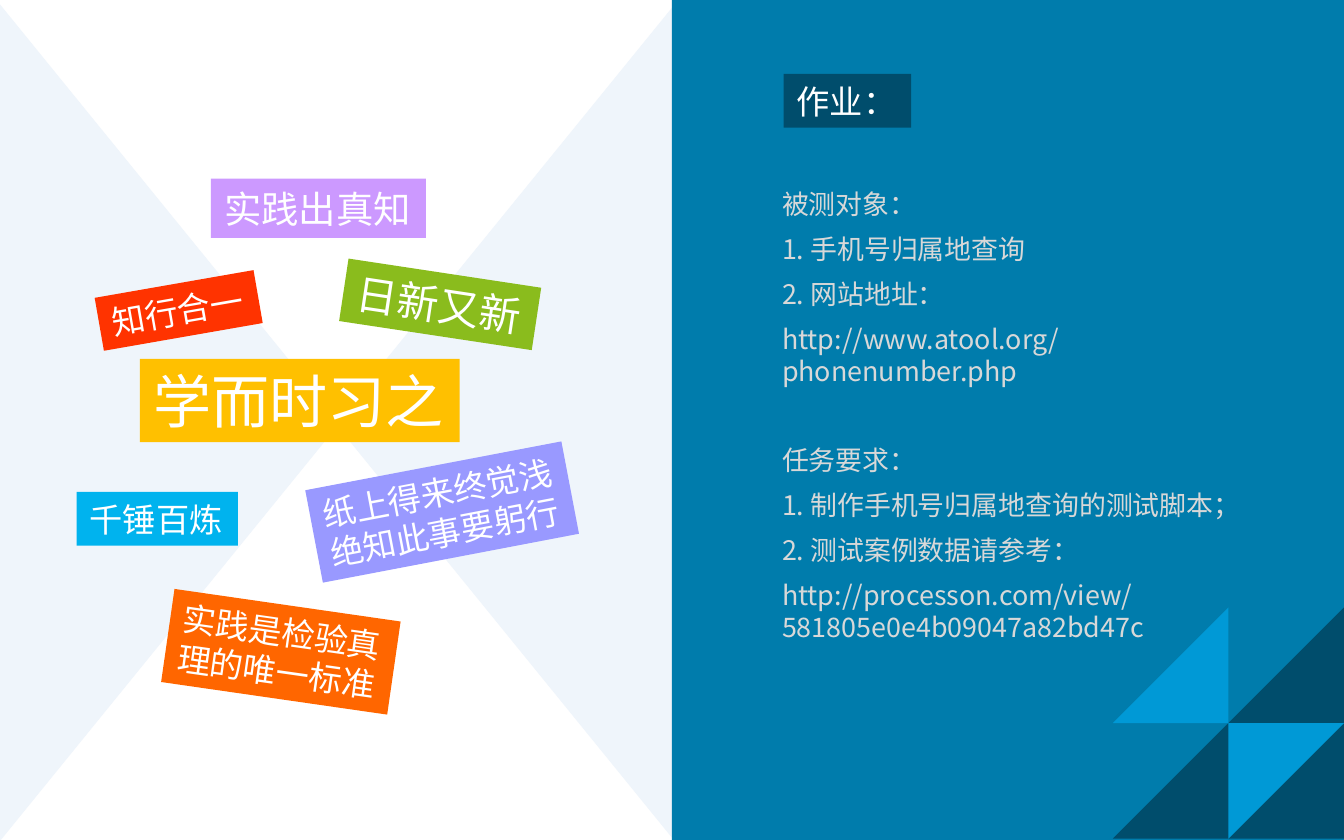
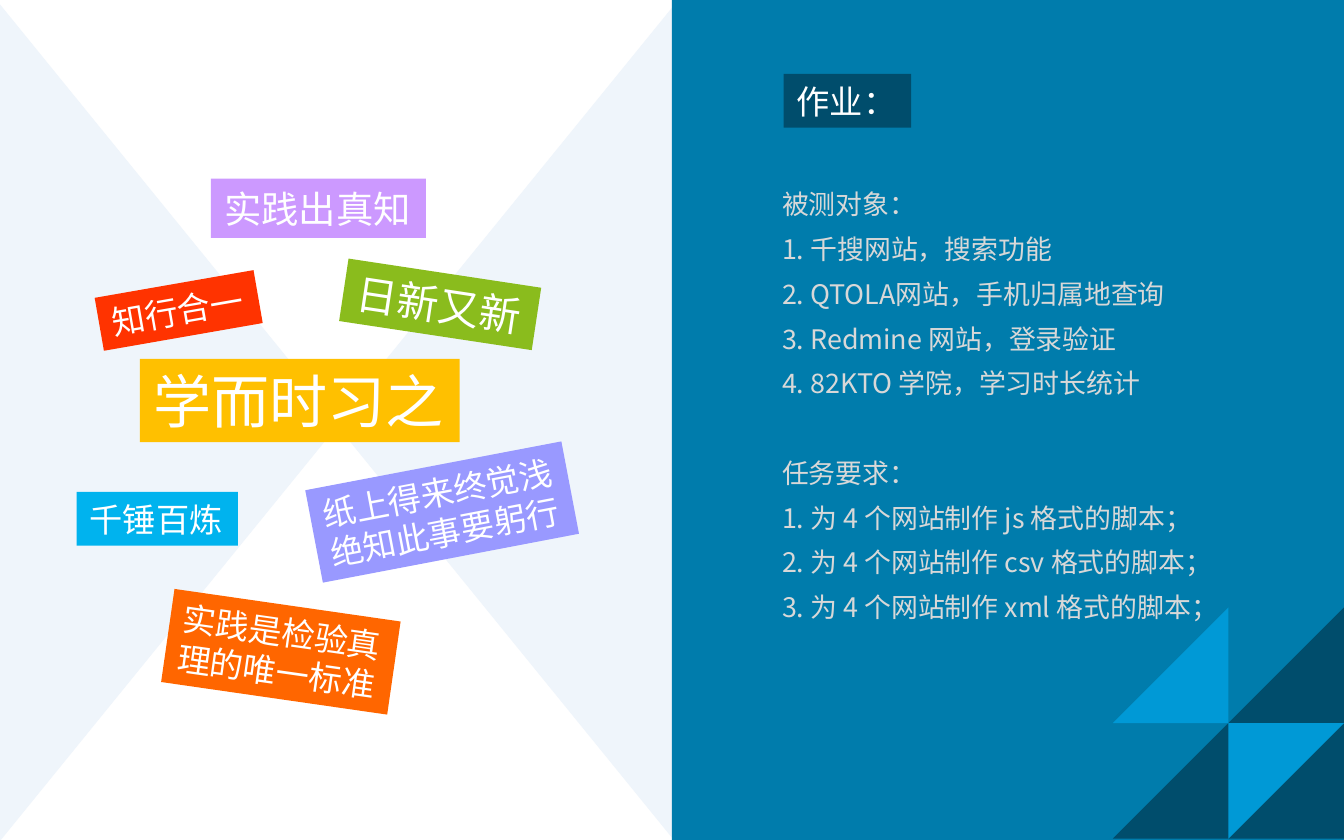
from pptx import Presentation
from pptx.dml.color import RGBColor
from pptx.enum.shapes import MSO_SHAPE
from pptx.enum.text import MSO_ANCHOR, PP_ALIGN
from pptx.oxml.ns import qn
from pptx.util import Inches, Pt
from lxml.etree import SubElement

WIDTH, HEIGHT = 10, 6.25
HALF = WIDTH / 2
WHITE, PALE, BLUE, NAVY, SKY, GREY = (
    "FFFFFF", "EFF5FB", "007CAC", "004D6C", "0099D6", "D8D8D8")
LABEL_FONT, BODY_FONT = "Noto Sans CJK KR", "Noto Sans CJK SC"
LINE_HEIGHT = 1.2
BODY_SIZE, BODY_GAP = 14.4, 6.7
CORNER_LEFT, CORNER_TOP, CORNER_SIZE = 8.28, 4.52, 1.72

MOTTOS = [
    ((0.57, 3.66, 1.2, 0.4), 0, "00B3EE", 17.8, ["千锤百炼"]),
    ((1.04, 2.67, 2.38, 0.62), 0, "FFC000", 31.1, ["学而时习之"]),
    ((0.73, 2.11, 1.2, 0.4), 350.1, "FF3300", 17.8, ["知行合一"]),
    ((2.55, 2.03, 1.45, 0.47), 8.6, "8ABC1D", 22.2, ["日新又新"]),
    ((2.32, 3.46, 1.94, 0.7), 349.2, "9999FF", 17.8, ["纸上得来终觉浅", "绝知此事要躬行"]),
    ((1.24, 4.5, 1.7, 0.7), 8.2, "FF6600", 17.8, ["实践是检验真", "理的唯一标准"]),
    ((1.57, 1.33, 1.6, 0.44), 0, "CC99FF", 20, ["实践出真知"]),
]

HOMEWORK = [
    [
        ["被测对象：", "1. 手机号归属地查询", "2. 网站地址：",
         "http://www.atool.org/phonenumber.php"],
        ["任务要求：", "1. 制作手机号归属地查询的测试脚本；", "2. 测试案例数据请参考：",
         "http://processon.com/view/581805e0e4b09047a82bd47c"],
    ],
    [
        ["被测对象：", "1. 千搜网站，搜索功能", "2. QTOLA网站，手机归属地查询",
         "3. Redmine 网站，登录验证", "4. 82KTO 学院，学习时长统计"],
        ["任务要求："] + [f"{number}. 为 4 个网站制作 {kind} 格式的脚本；"
                      for number, kind in enumerate(["js", "csv", "xml"], 1)],
    ],
]


def color(value):
    return RGBColor.from_string(value)


def add_block(slide, preset, box, fill, rotation=0):
    shape = slide.shapes.add_shape(preset, *map(Inches, box))
    shape.shadow.inherit = False
    shape.fill.solid()
    shape.fill.fore_color.rgb = color(fill)
    shape.line.fill.background()
    shape.rotation = rotation
    return shape


def write(paragraph, text, font=LABEL_FONT, size=17.8, fill=WHITE,
          align=PP_ALIGN.LEFT, before=0, after=0):
    paragraph.alignment = align
    paragraph.line_spacing = Pt(round(size * LINE_HEIGHT, 1))
    paragraph.space_before = Pt(before)
    paragraph.space_after = Pt(after)
    run = paragraph.add_run()
    run.text = text
    run.font.name = font
    run.font.size = Pt(size)
    run.font.color.rgb = color(fill)
    SubElement(run.font._element, qn("a:ea")).set("typeface", font)


def next_paragraph(frame):
    first = frame.paragraphs[0]
    return frame.add_paragraph() if first.runs else first


def add_label(slide, box, rotation, fill, size, lines):
    frame = add_block(slide, MSO_SHAPE.RECTANGLE, box, fill, rotation).text_frame
    frame.word_wrap = False
    frame.vertical_anchor = MSO_ANCHOR.MIDDLE
    for line in lines:
        write(next_paragraph(frame), line, size=size)


def add_background(slide):
    left = (HALF / 2 - HEIGHT) / 2 + 0.01
    top = (HEIGHT - HALF / 2) / 2
    for offset, rotation in ((0, 90), (HALF / 2, 270)):
        add_block(slide, MSO_SHAPE.ISOSCELES_TRIANGLE,
                  (left + offset, top, HEIGHT, HALF / 2 + 0.04), PALE, rotation)
    add_block(slide, MSO_SHAPE.RECTANGLE, (HALF, 0, HALF, HEIGHT), BLUE)


def add_homework(slide, sections):
    add_label(slide, (5.83, 0.55, 0.95, 0.4), 0, NAVY, 17.8, ["作业："])
    frame = slide.shapes.add_textbox(*map(Inches, (5.72, 1.35, 3.91, 3.56))).text_frame
    frame.word_wrap = True
    section_gap = BODY_SIZE * LINE_HEIGHT + BODY_GAP
    for section_index, section in enumerate(sections):
        for line_index, line in enumerate(section):
            starts_later_section = section_index > 0 and line_index == 0
            write(next_paragraph(frame), line, font=BODY_FONT, size=BODY_SIZE,
                  fill=GREY, align=PP_ALIGN.JUSTIFY, after=BODY_GAP,
                  before=section_gap if starts_later_section else 0)


def add_corner(slide):
    half = CORNER_SIZE / 2
    for offset, size, fill, rotation in (
            (0, CORNER_SIZE, NAVY, 270), (half, half, SKY, 90), (0, half, SKY, 270)):
        box = (CORNER_LEFT + offset, CORNER_TOP + offset, size, size)
        add_block(slide, MSO_SHAPE.RIGHT_TRIANGLE, box, fill, rotation)


def main():
    presentation = Presentation()
    presentation.slide_width = Inches(WIDTH)
    presentation.slide_height = Inches(HEIGHT)
    for sections in HOMEWORK:
        slide = presentation.slides.add_slide(presentation.slide_layouts[6])
        add_background(slide)
        for motto in MOTTOS:
            add_label(slide, *motto)
        add_homework(slide, sections)
        add_corner(slide)
    presentation.save("out.pptx")


if __name__ == "__main__":
    main()
